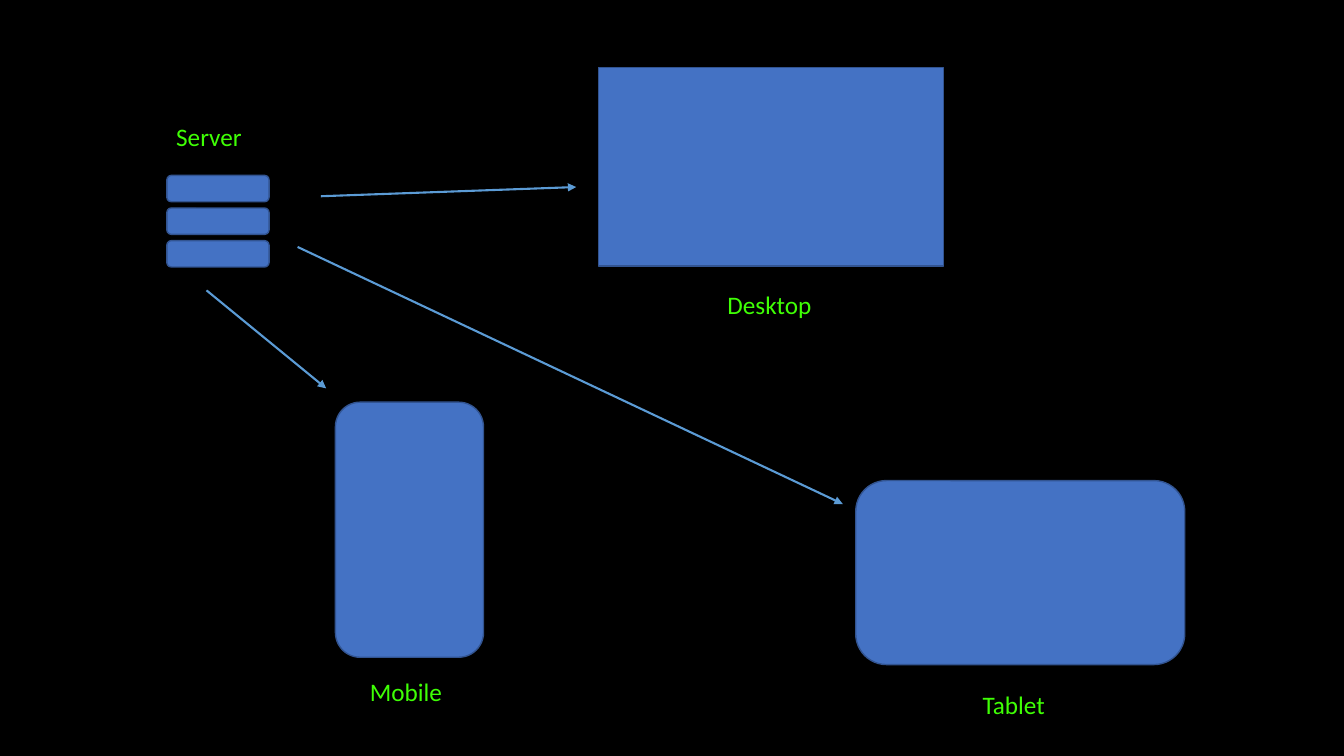
"""Builds a slide showing a server that feeds desktop, mobile and tablet devices."""
from dataclasses import dataclass

from lxml.etree import SubElement
from pptx import Presentation
from pptx.dml.color import RGBColor
from pptx.enum.shapes import MSO_CONNECTOR, MSO_SHAPE
from pptx.oxml.ns import qn
from pptx.util import Pt


@dataclass(frozen=True)
class Theme:
    background: RGBColor = RGBColor.from_string("000000")
    fill: RGBColor = RGBColor.from_string("4472C4")
    outline: RGBColor = RGBColor.from_string("325491")
    arrow: RGBColor = RGBColor.from_string("5B9BD5")
    label: RGBColor = RGBColor.from_string("3FFF05")
    font: str = "Calibri"
    label_size: float = 18
    outline_width: float = 1
    arrow_width: float = 1.5


THEME = Theme()
SLIDE_SIZE = (960, 540)
SERVER_UNITS = 3
SERVER_PITCH = 23.3
SERVER_UNIT = (119.2, 125.3, 73, 18.8)
DEVICES = [
    (MSO_SHAPE.ROUNDED_RECTANGLE, (611.3, 343.3, 235, 131.4)),
    (MSO_SHAPE.ROUNDED_RECTANGLE, (239.6, 287.3, 105.8, 182.2)),
    (MSO_SHAPE.RECTANGLE, (427.6, 48.4, 246.4, 141.8)),
]
ARROWS = [
    ((229.2, 140.2), (411.6, 133.6)),
    ((147.5, 207.4), (233, 277.4)),
    ((212.6, 176.4), (602, 360)),
]
LABELS = [
    ("Server", (118.8, 82.8, 77, 29)),
    ("Mobile", (257.2, 479.7, 216, 29)),
    ("Tablet", (694.8, 488.9, 216, 29)),
    ("Desktop", (512.6, 203.2, 216, 29)),
]


def points(values):
    return [Pt(value) for value in values]


def add_block(slide, kind, box):
    shape = slide.shapes.add_shape(kind, *points(box))
    shape.shadow.inherit = False
    shape.fill.solid()
    shape.fill.fore_color.rgb = THEME.fill
    shape.line.color.rgb = THEME.outline
    shape.line.width = Pt(THEME.outline_width)


def add_arrow(slide, start, end):
    connector = slide.shapes.add_connector(MSO_CONNECTOR.STRAIGHT, *points(start + end))
    connector.line.color.rgb = THEME.arrow
    connector.line.width = Pt(THEME.arrow_width)
    SubElement(connector.line._get_or_add_ln(), qn("a:tailEnd"), type="triangle")
    SubElement(connector._element.spPr, qn("a:effectLst"))


def add_label(slide, text, box):
    frame = slide.shapes.add_textbox(*points(box)).text_frame
    frame.word_wrap = True
    paragraph = frame.paragraphs[0]
    paragraph.text = text
    paragraph.font.name = THEME.font
    paragraph.font.size = Pt(THEME.label_size)
    paragraph.font.color.rgb = THEME.label


def main():
    presentation = Presentation()
    presentation.slide_width, presentation.slide_height = points(SLIDE_SIZE)
    slide = presentation.slides.add_slide(presentation.slide_layouts[6])
    slide.background.fill.solid()
    slide.background.fill.fore_color.rgb = THEME.background

    left, top, width, height = SERVER_UNIT
    for unit in range(SERVER_UNITS):
        box = (left, top + unit * SERVER_PITCH, width, height)
        add_block(slide, MSO_SHAPE.ROUNDED_RECTANGLE, box)
    for kind, box in DEVICES:
        add_block(slide, kind, box)
    for start, end in ARROWS:
        add_arrow(slide, start, end)
    for text, box in LABELS:
        add_label(slide, text, box)

    presentation.save("out.pptx")


if __name__ == "__main__":
    main()
